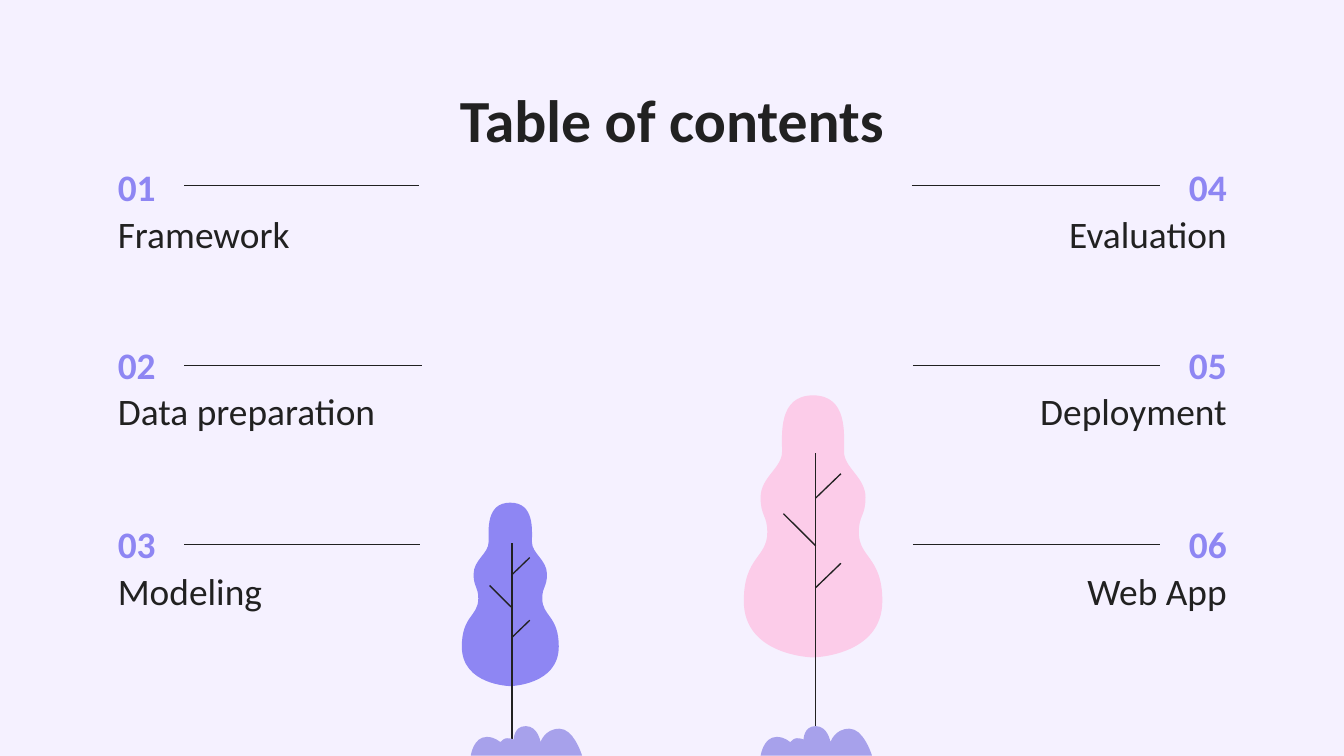
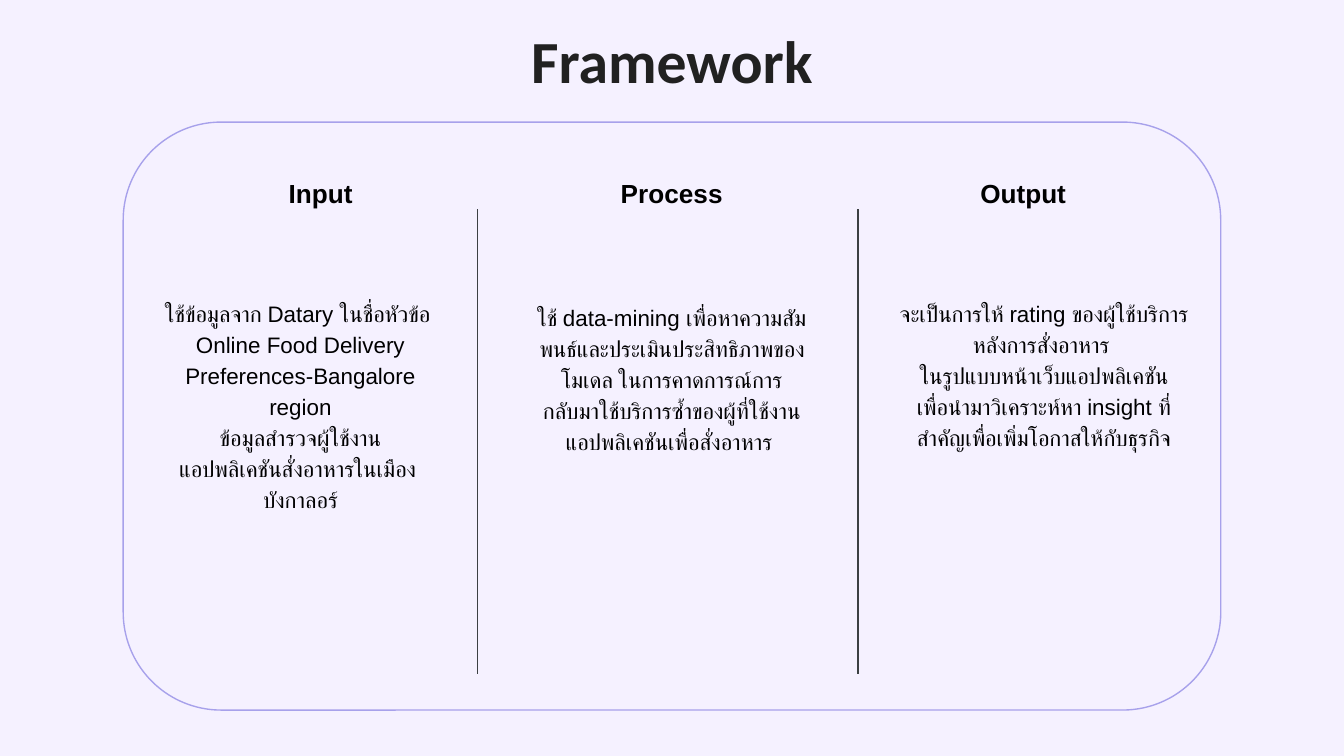
from lxml import etree
from pptx import Presentation
from pptx.dml.color import RGBColor
from pptx.enum.shapes import MSO_CONNECTOR, MSO_SHAPE
from pptx.enum.text import MSO_ANCHOR, PP_ALIGN
from pptx.oxml.ns import qn
from pptx.util import Pt

STRAIGHT = MSO_CONNECTOR.STRAIGHT
PANEL = MSO_SHAPE.FLOWCHART_ALTERNATE_PROCESS
TOP, MIDDLE = MSO_ANCHOR.TOP, MSO_ANCHOR.MIDDLE
LEFT, CENTER, RIGHT = PP_ALIGN.LEFT, PP_ALIGN.CENTER, PP_ALIGN.RIGHT

BACKGROUND = RGBColor(0xF5, 0xF1, 0xFF)
INK = RGBColor(0x21, 0x21, 0x21)
BLACK = RGBColor(0, 0, 0)
GREY = RGBColor(0x3C, 0x40, 0x43)
VIOLET = RGBColor(0x8E, 0x86, 0xF3)
LILAC = RGBColor(0xA7, 0xA1, 0xEB)
PINK = RGBColor(0xFC, 0xCC, 0xE9)

WIDTH, HEIGHT = 720, 405
MARGIN = 56
INSET = 7.2

CROWN_LEFT = [
    (0, 0),
    (-18.7, 0), (-16.6, 20.9), (-16.6, 30.2),
    (-16.6, 38.9), (-28.1, 43.9), (-28.1, 54.7),
    (-28.1, 64.8), (-24.5, 64.1), (-24.5, 73.4),
    (-24.5, 87.1), (-37.1, 86.4), (-37.1, 110.2),
    (-37.1, 139.7), (0, 140.4), (0, 140.4),
]
CROWN = CROWN_LEFT + [(-x, y) for x, y in CROWN_LEFT[-2::-1]]
BRANCHES = [(13.5, 42, 55), (13.5, 90, 103), (-17.3, 63.4, 80.6)]
BUSH = [
    (29.5, 0),
    (23, 0), (23, 7.2), (23, 7.2),
    (23, 7.2), (21.6, 6.5), (19.4, 6.5),
    (18.7, 6.5), (16.6, 7.2), (15.8, 8.6),
    (15.8, 8.6), (13, 5.8), (8.6, 5.8),
    (1.4, 5.8), (0, 15.8), (0, 15.8),
    (0, 15.8), (59.6, 15.8), (59.6, 15.8),
    (59, 13.7), (54.7, 1.4), (47.5, 1.4),
    (39.6, 1.4), (37.4, 8.6), (37.4, 8.6),
    (37.4, 8.6), (36, 0), (29.5, 0),
]

ROWS = [(87.4, 112.4, 99.4), (182.9, 207.4, 195.7), (278.7, 303.8, 291.6)]
LEFT_TOPICS = [("Framework", 98.6, 224.6),
               ("Data preparation", 98.6, 226),
               ("Modeling", 98.6, 225.2)]
RIGHT_TOPICS = [("Evaluation", 488.5, 621.4),
                ("Deployment", 489, 621.4),
                ("Web App", 489, 621.4)]
STAGES = [
    ("Input", 95.8, 74.2, 151.6, [
        "ใช้ข้อมูลจาก Datary ในชื่อหัวข้อ ",
        "Online Food Delivery Preferences-Bangalore region",
        "ข้อมูลสำรวจผู้ใช้งาน",
        "แอปพลิเคชันสั่งอาหารในเมือง ",
        "บังกาลอร์"]),
    ("Process", 283.9, 273.1, 153.7, [
        "ใช้ data-mining เพื่อหาความสัมพนธ์และประเมินประสิทธิภาพของโมเดล ในการคาดการณ์การ",
        "กลับมาใช้บริการซ้ำของผู้ที่ใช้งานแอปพลิเคชันเพื่อสั่งอาหาร "]),
    ("Output", 472.2, 472.5, 151.6, [
        "จะเป็นการให้ rating ของผู้ใช้บริการหลังการสั่งอาหาร ",
        "ในรูปแบบหน้าเว็บแอปพลิเคชัน",
        "เพื่อนำมาวิเคราะห์หา insight ที่สำคัญเพื่อเพิ่มโอกาสให้กับธุรกิจ"]),
]


def write(tf, lines, *, size, color, font="Calibri", bold=False, align=LEFT, spacing=None):
    """Fill a text frame with one formatted paragraph per line."""
    for i, line in enumerate(lines):
        p = tf.add_paragraph() if i else tf.paragraphs[0]
        p.alignment = align
        if spacing:
            p.line_spacing = spacing
        r = p.add_run()
        r.text = line
        r.font.name = font
        r.font.size = Pt(size)
        r.font.bold = bold
        r.font.color.rgb = color


def bend(sp, points):
    """Turn each straight segment of a freeform into a cubic curve."""
    segments = list(sp._element.iter(qn("a:lnTo")))
    for i, segment in enumerate(segments):
        segment.tag = qn("a:cubicBezTo")
        for old in list(segment):
            segment.remove(old)
        for x, y in points[3 * i + 1:3 * i + 4]:
            etree.SubElement(segment, qn("a:pt"), x=str(x - sp.left), y=str(y - sp.top))


class Deck:
    """Hold the shared style and the current slide."""

    def __init__(self):
        """Start a presentation of the right size."""
        self.prs = Presentation()
        self.prs.slide_width, self.prs.slide_height = Pt(WIDTH), Pt(HEIGHT)

    def slide(self):
        """Add a blank slide with the shared background."""
        self.s = self.prs.slides.add_slide(self.prs.slide_layouts[6])
        fill = self.s.background.fill
        fill.solid()
        fill.fore_color.rgb = BACKGROUND

    def text(self, x, y, w, h, *lines, anchor=TOP, **style):
        """Add a wrapped text box."""
        tf = self.s.shapes.add_textbox(Pt(x), Pt(y), Pt(w), Pt(h)).text_frame
        tf.word_wrap = True
        tf.vertical_anchor = anchor
        tf.margin_left = tf.margin_right = tf.margin_top = tf.margin_bottom = Pt(INSET)
        write(tf, lines, **style)

    def title(self, y, text):
        """Add the centred slide title."""
        self.text(MARGIN, y, WIDTH - 2 * MARGIN, 42.5, text, anchor=MIDDLE,
                  size=32, color=INK, bold=True, align=CENTER)

    def line(self, x1, y1, x2, y2, color=INK, width=0.75):
        """Add a straight line."""
        sp = self.s.shapes.add_connector(STRAIGHT, Pt(x1), Pt(y1), Pt(x2), Pt(y2))
        sp.line.color.rgb = color
        sp.line.width = Pt(width)
        etree.SubElement(sp._element.spPr, qn("a:effectLst"))

    def panel(self, x, y, w, h):
        """Add a rounded outline panel."""
        sp = self.s.shapes.add_shape(PANEL, Pt(x), Pt(y), Pt(w), Pt(h))
        sp.shadow.inherit = False
        sp.fill.solid()
        sp.fill.fore_color.rgb = BACKGROUND
        sp.line.color.rgb = LILAC
        sp.line.width = Pt(0.75)

    def outline(self, x, y, points, color, scale=1):
        """Add a filled closed curve placed relative to x, y."""
        placed = [(Pt(x + scale * px), Pt(y + scale * py)) for px, py in points]
        anchors = placed[::3]
        builder = self.s.shapes.build_freeform(*anchors[0], scale=1.0)
        builder.add_line_segments(anchors[1:], close=True)
        sp = builder.convert_to_shape()
        bend(sp, placed)
        sp.shadow.inherit = False
        sp.fill.solid()
        sp.fill.fore_color.rgb = color
        sp.line.fill.background()

    def tree(self, cx, top, scale, color):
        """Add a tree with a symmetric crown, a trunk and branches."""
        self.outline(cx, top, CROWN, color, scale)
        trunk = cx + 1.4 * scale
        self.line(trunk, top + 31 * scale, trunk, 404, width=0.72)
        for dx, y1, y2 in BRANCHES:
            self.line(trunk + dx * scale, top + y1 * scale, trunk, top + y2 * scale, width=0.72)

    def labels(self, first, topics, align, edge):
        """Add a column of numbered topics against one edge."""
        for i, (name, _, _) in enumerate(topics):
            number_y, name_y, _ = ROWS[i]
            for text, y, w, color in ((name, name_y, 190.8, INK),
                                      (f"{first + i:02}", number_y, 42.5, VIOLET)):
                x = edge - w if align == RIGHT else edge
                self.text(x, y, w, 25, text, anchor=MIDDLE, size=20,
                          color=color, bold=color == VIOLET, align=align)

    def rules(self, topics):
        """Add the line beside each topic number."""
        for (_, x1, x2), (_, _, y) in zip(topics, ROWS):
            self.line(x1, y, x2, y)


def contents(deck):
    """Build the table of contents."""
    deck.slide()
    deck.tree(273.4, 269.3, 0.7, VIOLET)
    deck.tree(435.6, 211.8, 1, PINK)
    deck.labels(1, LEFT_TOPICS, LEFT, MARGIN)
    deck.title(42.5, "Table of contents")
    deck.labels(4, RIGHT_TOPICS, RIGHT, WIDTH - MARGIN + 0.3)
    deck.rules(LEFT_TOPICS)
    deck.rules(RIGHT_TOPICS)
    for x in (252.2, 407.5):
        deck.outline(x, 389, BUSH, LILAC)


def framework(deck):
    """Build the three-stage framework."""
    deck.slide()
    deck.panel(66, 65.4, 588, 315)
    for name, x, _, _, _ in STAGES:
        deck.text(x, 87.8, 151.9, 31.7, name, size=14, color=BLACK,
                  font="Arial", bold=True, align=CENTER)
    deck.title(10.8, "Framework")
    for x in (255.7, 459.6):
        deck.line(x, 112.2, x, 361, GREY)
    for _, _, x, y, lines in STAGES:
        deck.text(x, y, 173.5, 96, *lines, size=12, color=BLACK,
                  font="Arial", align=CENTER, spacing=1.15)


def main():
    """Build and save the deck."""
    deck = Deck()
    contents(deck)
    framework(deck)
    deck.prs.save("out.pptx")


if __name__ == "__main__":
    main()
